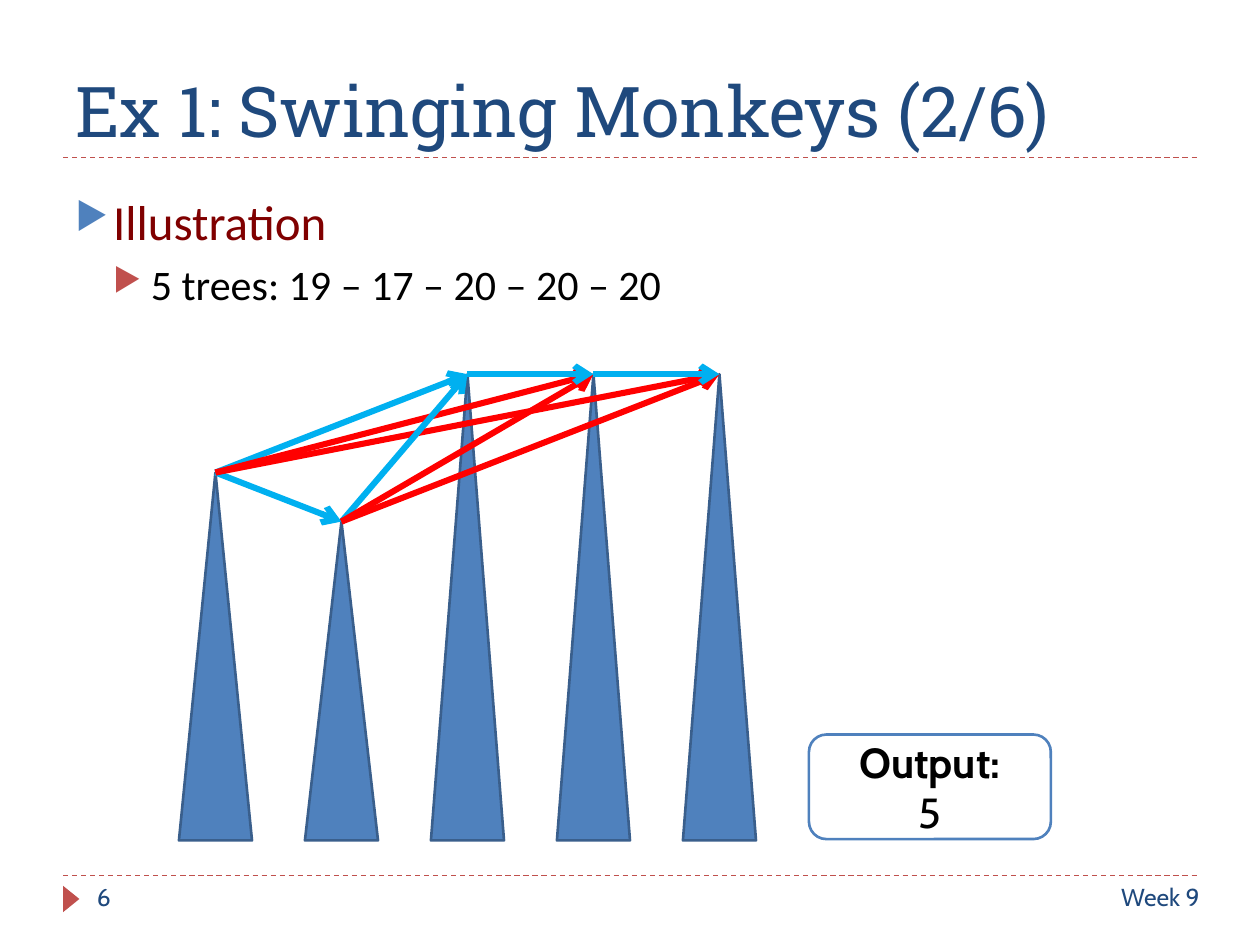
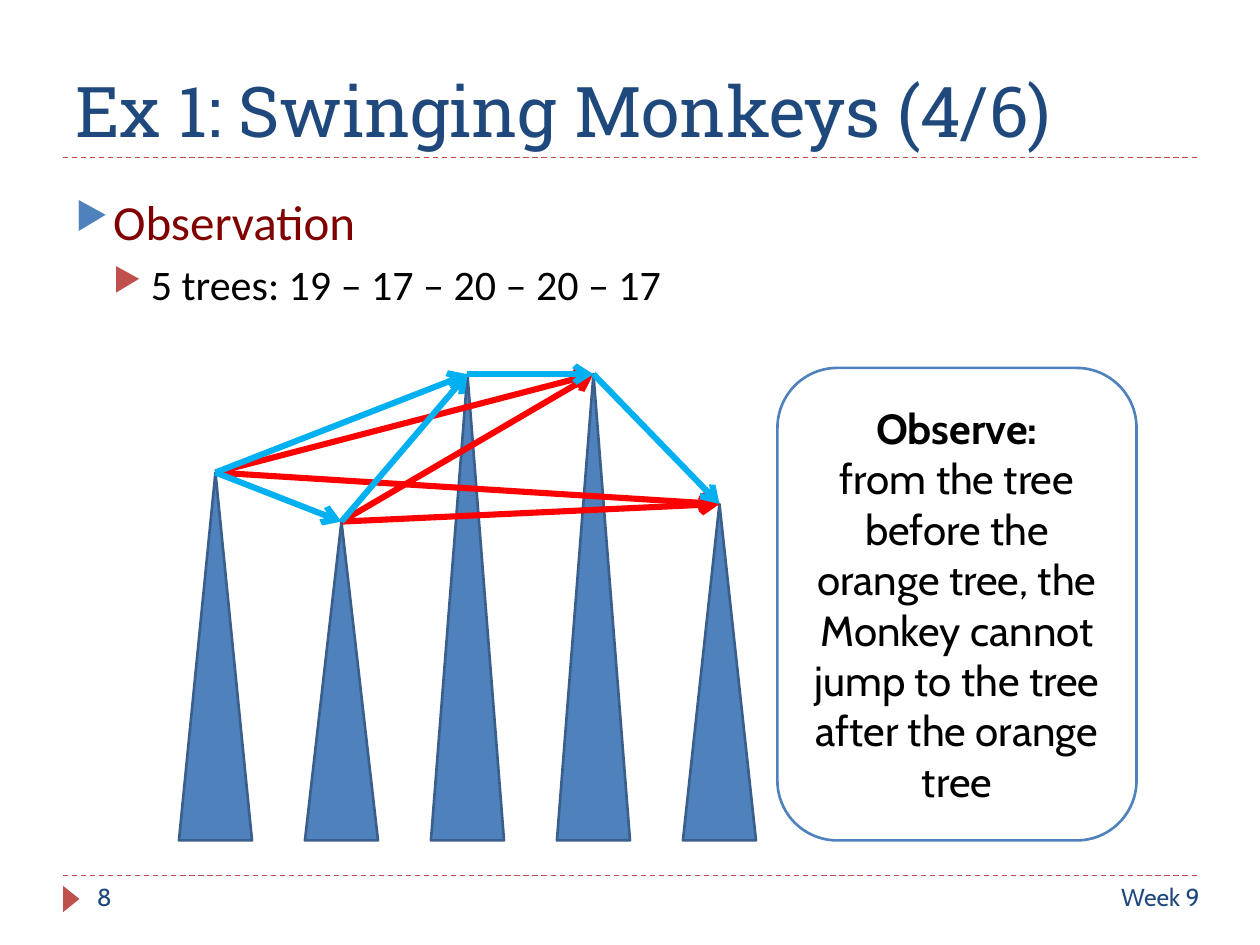
from pptx import Presentation
from pptx.util import Inches, Pt
from pptx.dml.color import RGBColor
from pptx.enum.dml import MSO_LINE
from pptx.enum.shapes import MSO_SHAPE, MSO_CONNECTOR
from pptx.enum.text import PP_ALIGN, MSO_ANCHOR
from pptx.oxml.ns import qn
from lxml.etree import SubElement

HUES = {
    "navy": "1F497D", "blue": "4F81BD", "edge": "3A5F8C", "brick": "C0504D",
    "maroon": "800000", "black": "000000", "white": "FFFFFF",
    "cyan": "00B0F0", "red": "FF0000",
}
HUE = {name: RGBColor.from_string(code) for name, code in HUES.items()}
BASE = 6.67
WIDE = 0.58

SLIDES = [
    {
        "title": "Ex 1: Swinging Monkeys (2/6)", "page": "6",
        "head": "Illustration", "trees": "5 trees: 19 – 17 – 20 – 20 – 20",
        "tops": [3.75, 4.14, 2.97, 2.97, 2.97],
        "jumps": [("cyan", 0, 1), ("cyan", 0, 2), ("red", 0, 3), ("red", 0, 4),
                  ("cyan", 1, 2), ("red", 1, 3), ("red", 1, 4),
                  ("cyan", 2, 3), ("cyan", 3, 4)],
        "box": (6.42, 5.83, 1.92, 0.83), "note": ["Output:", "5"],
    },
    {
        "title": "Ex 1: Swinging Monkeys (4/6)", "page": "8",
        "head": "Observation", "trees": "5 trees: 19 – 17 – 20 – 20 – 17",
        "tops": [3.75, 4.14, 2.97, 2.97, 4],
        "jumps": [("red", 0, 3), ("red", 0, 4), ("red", 1, 3), ("red", 1, 4),
                  ("cyan", 0, 1), ("cyan", 0, 2), ("cyan", 1, 2),
                  ("cyan", 2, 3), ("cyan", 3, 4)],
        "box": (6.17, 2.92, 2.85, 3.75),
        "note": ["Observe:", "from the tree before the orange tree, the Monkey "
                 "cannot jump to the tree after the orange tree"],
    },
]


def add_line(slide, start, end, hue, width):
    line = slide.shapes.add_connector(
        MSO_CONNECTOR.STRAIGHT, *map(Inches, start + end))
    line.line.color.rgb = HUE[hue]
    line.line.width = Pt(width)
    SubElement(line._element.spPr, qn("a:effectLst"))
    return line


def add_form(slide, kind, place, fill, edge=None):
    form = slide.shapes.add_shape(kind, *map(Inches, place))
    form.shadow.inherit = False
    form.fill.solid()
    form.fill.fore_color.rgb = HUE[fill]
    if edge:
        form.line.color.rgb = HUE[edge]
        form.line.width = Pt(1.5)
    else:
        form.line.fill.background()
    return form


deck = Presentation()
deck.slide_width = Inches(10)
deck.slide_height = Inches(7.5)

for data in SLIDES:
    slide = deck.slides.add_slide(deck.slide_layouts[6])

    for y in (6.95, 1.25):
        rule = add_line(slide, (0.5, y), (9.5, y), "brick", 0.75)
        rule.line.dash_style = MSO_LINE.DASH
    mark = add_form(slide, MSO_SHAPE.ISOSCELES_TRIANGLE,
                    (0.46, 7.07, 0.21, 0.13), "brick")
    mark.rotation = 90

    labels = [
        (data["title"], (0.5, 0.17, 9, 1.08), 40, "Roboto Slab",
         MSO_ANCHOR.BOTTOM, PP_ALIGN.LEFT),
        (data["page"], (0.67, 6.95, 2.17, 0.4), 14, "Cabin",
         MSO_ANCHOR.TOP, PP_ALIGN.LEFT),
        ("Week 9", (5.79, 6.95, 3.83, 0.4), 14, "Cabin",
         MSO_ANCHOR.TOP, PP_ALIGN.RIGHT),
    ]
    for text, place, size, face, anchor, align in labels:
        frame = slide.shapes.add_textbox(*map(Inches, place)).text_frame
        frame.word_wrap = True
        frame.vertical_anchor = anchor
        frame.text = text
        para = frame.paragraphs[0]
        para.alignment = align
        font = para.runs[0].font
        font.size, font.name, font.color.rgb = Pt(size), face, HUE["navy"]

    place = map(Inches, (0.5, 1.47, 9, 1.34))
    frame = slide.shapes.add_textbox(*place).text_frame
    frame.word_wrap = True
    frame.text = data["head"] + "\n" + data["trees"]
    looks = [("blue", "maroon", 28), ("brick", "black", 24)]
    for level, (para, look) in enumerate(zip(frame.paragraphs, looks)):
        dot, hue, size = look
        props = para._p.get_or_add_pPr()
        props.set("marL", str(Inches(0.3 * (level + 1))))
        props.set("indent", str(Inches(-0.3)))
        tint = SubElement(props, qn("a:buClr"))
        SubElement(tint, qn("a:srgbClr"), val=HUES[dot])
        SubElement(props, qn("a:buSzPct"), val="76000")
        SubElement(props, qn("a:buChar"), char="▶")
        para.level = level
        if level:
            para.space_before = Pt(5)
        font = para.runs[0].font
        font.size, font.name, font.color.rgb = Pt(size), "Calibri", HUE[hue]

    tips = []
    for i, top in enumerate(data["tops"]):
        left = 1.42 + i
        add_form(slide, MSO_SHAPE.ISOSCELES_TRIANGLE,
                 (left, top, WIDE, BASE - top), "blue", "edge")
        tips.append((left + WIDE / 2, top))

    for hue, start, end in data["jumps"]:
        jump = add_line(slide, tips[start], tips[end], hue, 3.5)
        stroke = jump._element.spPr.find(qn("a:ln"))
        SubElement(stroke, qn("a:tailEnd"), type="arrow")

    box = add_form(slide, MSO_SHAPE.ROUNDED_RECTANGLE, data["box"],
                   "white", "blue")
    frame = box.text_frame
    frame.word_wrap = True
    frame.vertical_anchor = MSO_ANCHOR.MIDDLE
    frame.text = "\n".join(data["note"])
    for i, para in enumerate(frame.paragraphs):
        para.alignment = PP_ALIGN.CENTER
        font = para.runs[0].font
        font.size, font.name, font.color.rgb = Pt(24), "Cabin", HUE["black"]
        font.bold = i == 0

deck.save("out.pptx")
